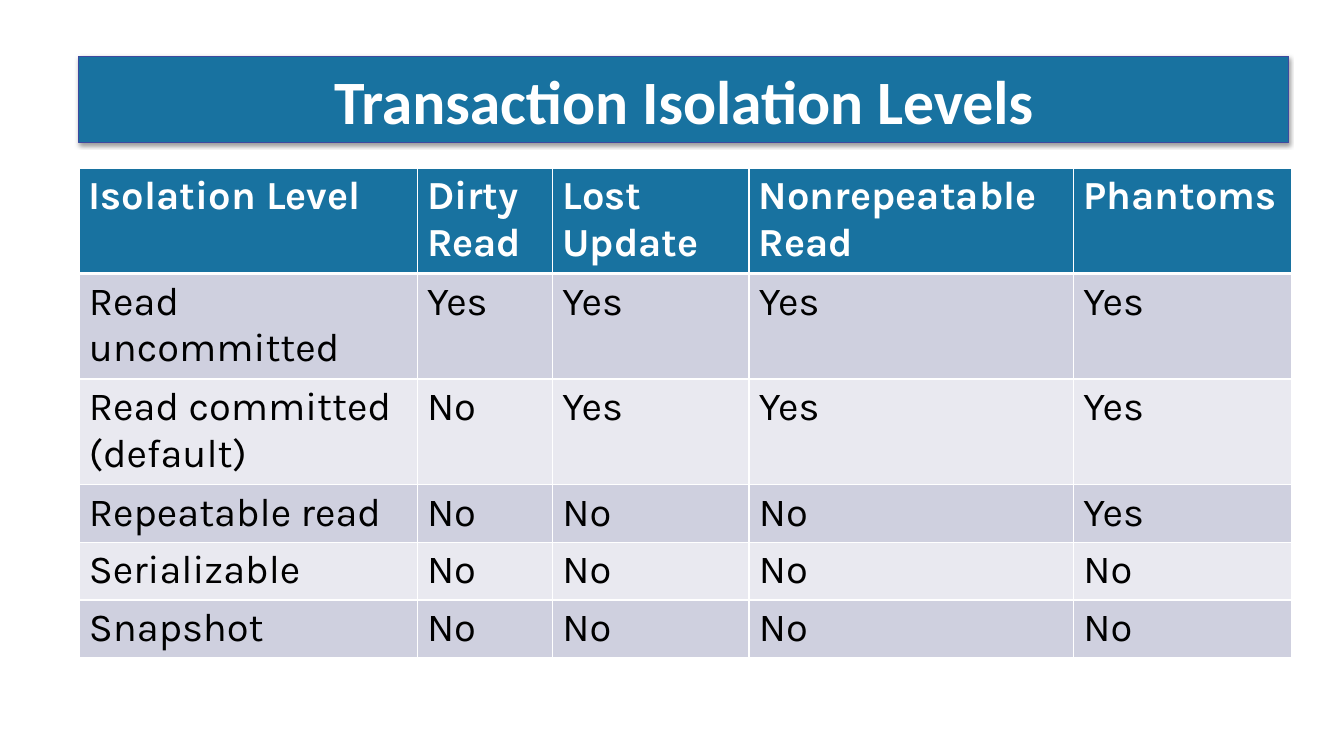
from dataclasses import dataclass

from lxml.etree import SubElement
from pptx import Presentation
from pptx.dml.color import RGBColor
from pptx.enum.text import MSO_ANCHOR, MSO_AUTO_SIZE, PP_ALIGN
from pptx.oxml.ns import qn
from pptx.util import Cm, Pt


@dataclass(frozen=True)
class Theme:
    accent: str = "1872A0"
    outline: str = "3E499F"
    bands: tuple = ("CFD0DF", "E9E9F0")
    light: str = "FFFFFF"
    dark: str = "000000"
    title_font: str = "Calibri"
    title_size: float = 44.9
    table_font: str = "Karla"
    table_size: float = 29
    thin_line: float = 1
    thick_line: float = 3


THEME = Theme()

HEADINGS = ("Isolation Level", "Dirty Read", "Lost Update", "Nonrepeatable Read", "Phantoms")
LEVELS = (
    ("Read uncommitted", "Yes", "Yes", "Yes", "Yes"),
    ("Read committed (default)", "No", "Yes", "Yes", "Yes"),
    ("Repeatable read", "No", "No", "No", "Yes"),
    ("Serializable", "No", "No", "No", "No"),
    ("Snapshot", "No", "No", "No", "No"),
)
COLUMN_WIDTHS = (8.69, 3.48, 5.05, 8.34, 5.6)
ROW_HEIGHTS = (2.67, 2.67, 2.67, 1.47, 1.47, 1.47)


def fill_solid(fill, color):
    fill.solid()
    fill.fore_color.rgb = RGBColor.from_string(color)


def add_run(paragraph, text, font_name, size, color, bold):
    run = paragraph.add_run()
    run.text = text
    run.font.name = font_name
    run.font.size = Pt(size)
    run.font.bold = bold
    run.font.color.rgb = RGBColor.from_string(color)


def add_soft_shadow(shape):
    """Cast a small, blurred shadow straight down."""
    effects = SubElement(shape._element.spPr, qn("a:effectLst"))
    shadow = SubElement(
        effects, qn("a:outerShdw"), blurRad=str(Pt(3.1)), dist=str(Pt(1.6)),
        dir="5400000", rotWithShape="0",
    )
    color = SubElement(shadow, qn("a:srgbClr"), val=THEME.dark)
    SubElement(color, qn("a:alpha"), val="38000")


def set_borders(cell, top, bottom):
    """Draw light borders; top and bottom are widths in points."""
    properties = cell._tc.get_or_add_tcPr()
    widths = {"lnL": THEME.thin_line, "lnR": THEME.thin_line, "lnT": top, "lnB": bottom}
    for side, width in widths.items():
        line = SubElement(properties, qn(f"a:{side}"), w=str(Pt(width)))
        fill = SubElement(line, qn("a:solidFill"))
        SubElement(fill, qn("a:srgbClr"), val=THEME.light)


def place_title(slide, left, top, width, height):
    title = slide.shapes.title
    title.left, title.top, title.width, title.height = left, top, width, height
    fill_solid(title.fill, THEME.accent)
    title.line.width = Pt(0.75)
    fill_solid(title.line.fill, THEME.outline)
    add_soft_shadow(title)

    frame = title.text_frame
    frame.word_wrap = True
    frame.auto_size = MSO_AUTO_SIZE.SHAPE_TO_FIT_TEXT
    frame.vertical_anchor = MSO_ANCHOR.MIDDLE
    paragraph = frame.paragraphs[0]
    paragraph.alignment = PP_ALIGN.CENTER
    add_run(paragraph, "Transaction Isolation Levels", THEME.title_font,
            THEME.title_size, THEME.light, True)


def place_levels_table(slide, left, top, width, height):
    rows = (HEADINGS, *LEVELS)
    table = slide.shapes.add_table(len(rows), len(HEADINGS), left, top, width, height).table
    for column, share in zip(table.columns, COLUMN_WIDTHS):
        column.width = round(width * share / sum(COLUMN_WIDTHS))
    for row, share in zip(table.rows, ROW_HEIGHTS):
        row.height = round(height * share / sum(ROW_HEIGHTS))

    for row_index, texts in enumerate(rows):
        is_header = row_index == 0
        background = THEME.accent if is_header else THEME.bands[(row_index - 1) % 2]
        text_color = THEME.light if is_header else THEME.dark
        top_line = THEME.thick_line if row_index == 1 else THEME.thin_line
        bottom_line = THEME.thick_line if is_header else THEME.thin_line
        for column_index, text in enumerate(texts):
            cell = table.cell(row_index, column_index)
            set_borders(cell, top_line, bottom_line)
            fill_solid(cell.fill, background)
            add_run(cell.text_frame.paragraphs[0], text, THEME.table_font,
                    THEME.table_size, text_color, is_header)


def main():
    presentation = Presentation()
    presentation.slide_width = Cm(34.54)
    presentation.slide_height = Cm(19.43)
    slide = presentation.slides.add_slide(presentation.slide_layouts[5])
    fill_solid(slide.background.fill, THEME.light)
    margin = Cm(2.03)
    place_levels_table(slide, margin, Cm(4.32), Cm(sum(COLUMN_WIDTHS)), Cm(sum(ROW_HEIGHTS)))
    place_title(slide, margin, Cm(1.45), Cm(31.09), Cm(2.21))
    presentation.save("out.pptx")


if __name__ == "__main__":
    main()
